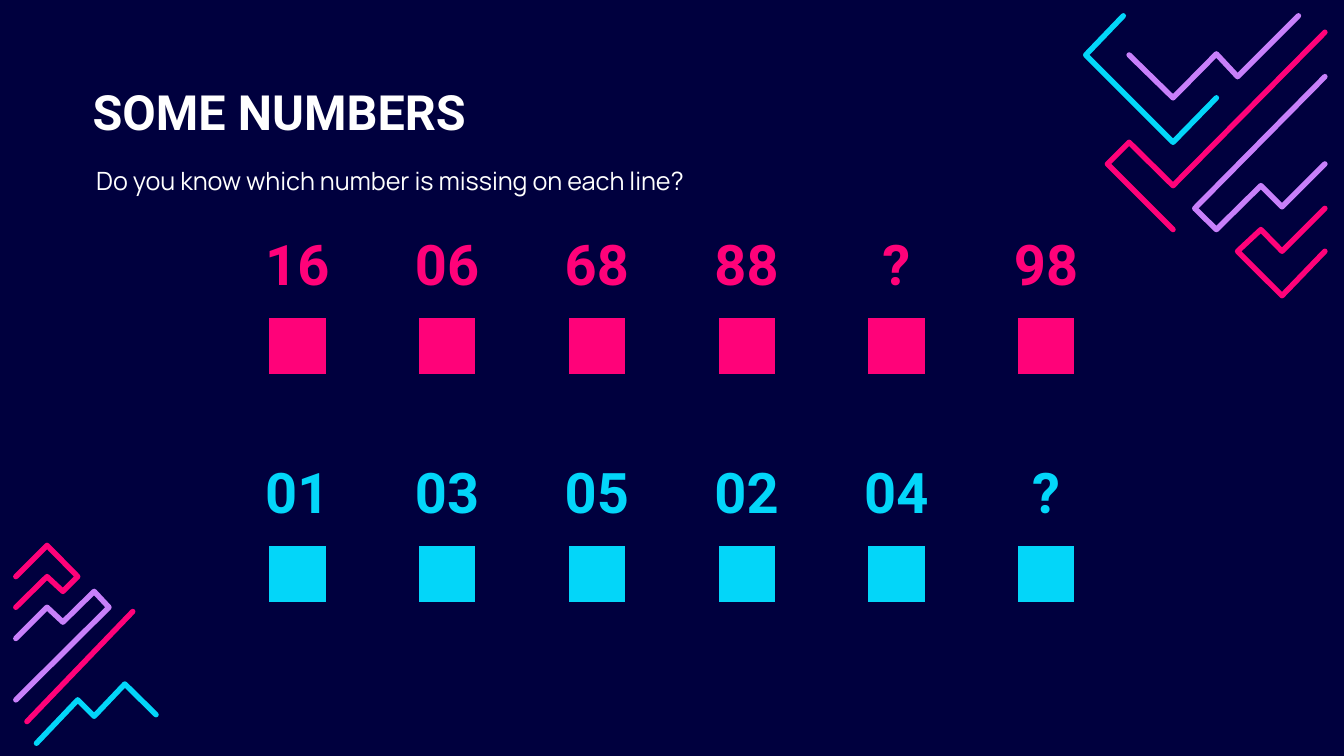
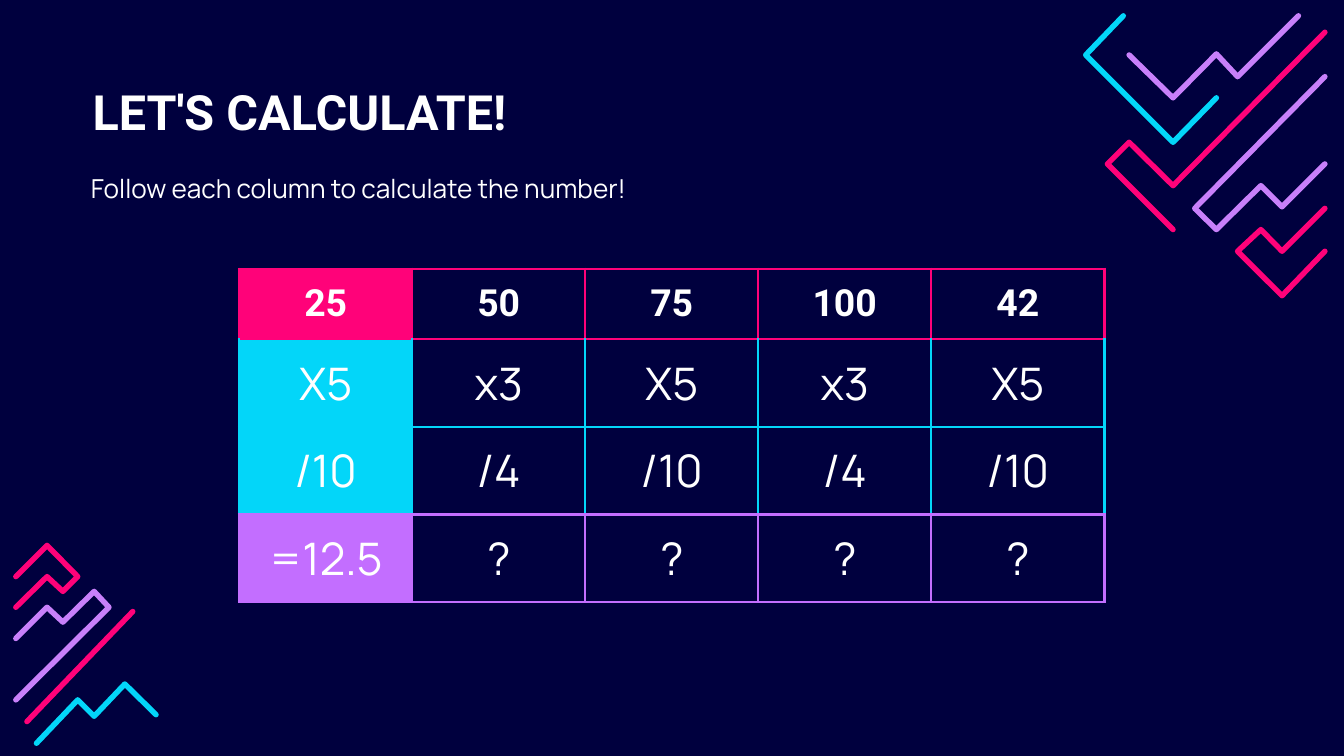
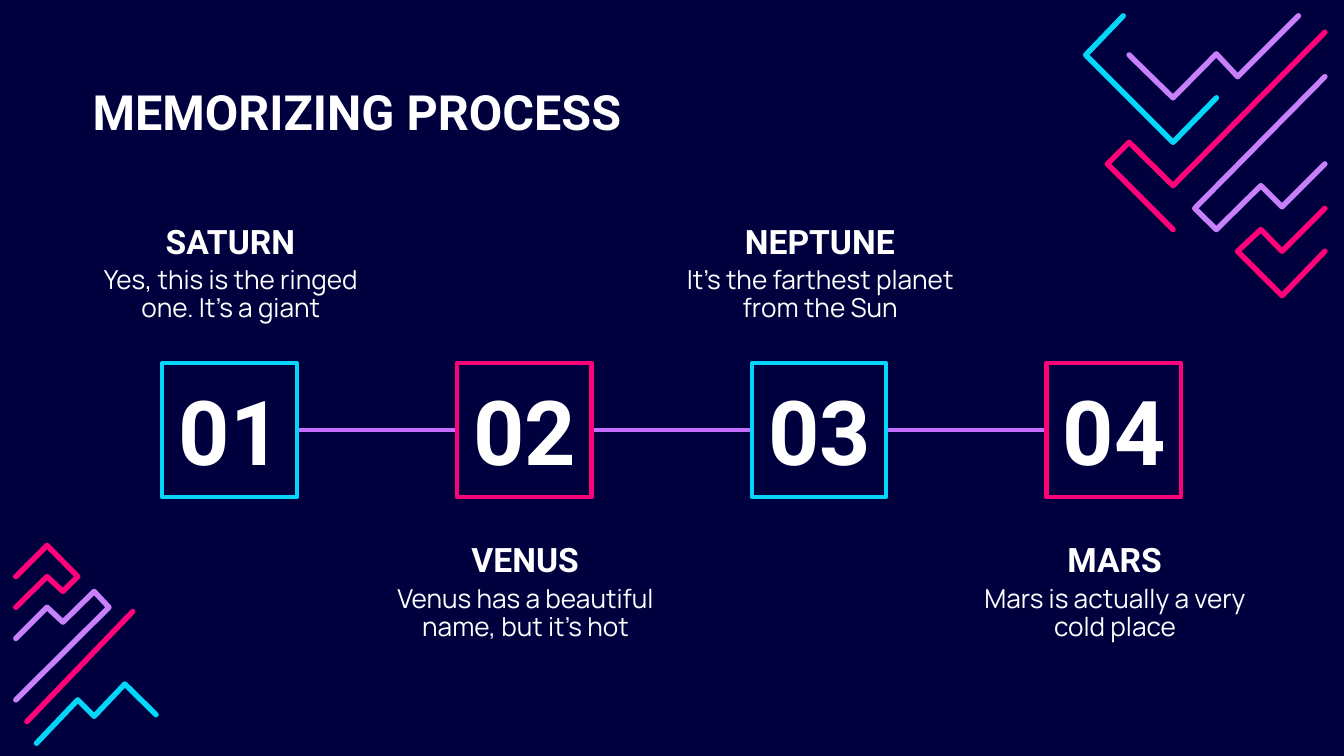
from typing import NamedTuple

from pptx import Presentation
from pptx.dml.color import RGBColor
from pptx.enum.shapes import MSO_CONNECTOR, MSO_SHAPE
from pptx.enum.text import MSO_ANCHOR as ANCHOR, MSO_AUTO_SIZE as AUTO, PP_ALIGN as ALIGN
from pptx.oxml import parse_xml
from pptx.oxml.ns import nsdecls
from pptx.oxml.xmlchemy import OxmlElement
from pptx.slide import Slide, SlideLayout
from pptx.table import _Cell as Cell
from pptx.text.text import TextFrame
from pptx.util import Cm, Pt

NAVY = RGBColor(0x00, 0x00, 0x3E)
PINK = RGBColor(0xFF, 0x02, 0x79)
CYAN = RGBColor(0x03, 0xD6, 0xF9)
LILAC = RGBColor(0xC8, 0x80, 0xFA)
PURPLE = RGBColor(0xC3, 0x6E, 0xFF)
WHITE = RGBColor(0xFF, 0xFF, 0xFF)

TITLE = dict(name="Roboto", size=Pt(26), bold=True)
DIGITS = dict(name="Roboto", size=Pt(30), bold=True)
TABLE_HEAD = dict(name="Roboto", size=Pt(20), bold=True)
TABLE_BODY = dict(name="Manrope", size=Pt(24), bold=False)
STEP_NUMBER = dict(name="Roboto", size=Pt(48), bold=True)
STEP_HEAD = dict(name="Roboto", size=Pt(18), bold=True)
BODY = dict(name="Manrope", size=Pt(14), bold=False)
INSET = Cm(0.25)


class Box(NamedTuple):
    """Left, top, width and height in centimetres."""
    left: float
    top: float
    width: float
    height: float

    def lengths(self) -> list[Cm]:
        return [Cm(v) for v in self]


class Zigzag(NamedTuple):
    color: RGBColor
    points: list[tuple[float, float]]


class NumberLine(NamedTuple):
    top: float
    color: RGBColor
    labels: list[str]


class TableRow(NamedTuple):
    values: list[str]
    color: RGBColor
    bottom: RGBColor
    font: dict


class Step(NamedTuple):
    head: str
    text: str
    color: RGBColor
    text_top: float


ZIGZAGS = [
    Zigzag(PINK, [(25.04, 4.75), (24.23, 5.59), (23.39, 4.75), (23.83, 4.34),
                  (24.23, 4.75), (25.04, 3.94)]),
    Zigzag(LILAC, [(25.04, 3.1), (24.23, 3.91), (23.83, 3.51), (22.99, 4.34),
                   (22.58, 3.94), (25.04, 1.45)]),
    Zigzag(PINK, [(22.17, 4.34), (20.93, 3.1), (21.34, 2.69), (22.17, 3.51),
                  (25.04, 0.61)]),
    Zigzag(CYAN, [(22.99, 1.85), (22.17, 2.69), (20.52, 1.04), (21.23, 0.3)]),
    Zigzag(LILAC, [(21.34, 1.04), (22.17, 1.85), (22.99, 1.02), (23.39, 1.45),
                   (24.54, 0.3)]),
    Zigzag(PINK, [(0.3, 10.9), (0.89, 10.31), (1.47, 10.9), (1.19, 11.18),
                  (0.89, 10.9), (0.3, 11.48)]),
    Zigzag(LILAC, [(0.3, 12.07), (0.89, 11.48), (1.19, 11.76), (1.78, 11.18),
                   (2.06, 11.48), (0.3, 13.23)]),
    Zigzag(CYAN, [(2.95, 13.51), (2.36, 12.93), (1.78, 13.54), (1.47, 13.23),
                  (0.69, 14.05)]),
    Zigzag(PINK, [(2.51, 11.56), (0.51, 13.64)]),
]
NUMBER_LINES = [
    NumberLine(3.94, PINK, ["16", "06", "68", "88", "?", "98"]),
    NumberLine(8.26, CYAN, ["01", "03", "05", "02", "04", "?"]),
]
NUMBER_STEP = 2.83
TABLE_ROWS = [
    TableRow(["25", "50", "75", "100", "42"], PINK, PINK, TABLE_HEAD),
    TableRow(["X5", "x3", "X5", "x3", "X5"], CYAN, CYAN, TABLE_BODY),
    TableRow(["/10", "/4", "/10", "/4", "/10"], CYAN, PURPLE, TABLE_BODY),
    TableRow(["=12.5", "?", "?", "?", "?"], PURPLE, PURPLE, TABLE_BODY),
]
ABOVE, BELOW = 4.06, 10.08
STEPS = [
    Step("SATURN", "Yes, this is the ringed one. It’s a giant", CYAN, ABOVE),
    Step("VENUS", "Venus has a beautiful name, but it’s hot", PINK, BELOW),
    Step("NEPTUNE", "It’s the farthest planet from the Sun", CYAN, ABOVE),
    Step("MARS", "Mars is actually a very cold place", PINK, BELOW),
]
STEP_GAP = 5.57


def write(tf: TextFrame, text: str, font: dict, color: RGBColor = WHITE,
          align: ALIGN = ALIGN.LEFT, spacing: float = 1.0) -> None:
    p = tf.paragraphs[0]
    p.alignment = align
    p.line_spacing = spacing
    r = p.add_run()
    r.text = text
    for key, value in font.items():
        setattr(r.font, key, value)
    r.font.color.rgb = color


def set_frame(tf: TextFrame, anchor: ANCHOR, auto_size: AUTO) -> None:
    frame = dict(margin_left=INSET, margin_right=INSET, margin_top=INSET,
                 margin_bottom=INSET, word_wrap=True,
                 vertical_anchor=anchor, auto_size=auto_size)
    for key, value in frame.items():
        setattr(tf, key, value)


def add_text(s: Slide, box: Box, text: str, font: dict, color: RGBColor = WHITE,
             align: ALIGN = ALIGN.CENTER, anchor: ANCHOR = ANCHOR.MIDDLE,
             spacing: float = 1.0, auto_size: AUTO = AUTO.NONE) -> None:
    tf = s.shapes.add_textbox(*box.lengths()).text_frame
    set_frame(tf, anchor, auto_size)
    write(tf, text, font, color, align, spacing)


def add_square(s: Slide, box: Box, fill: RGBColor, line: RGBColor, width: float) -> None:
    sp = s.shapes.add_shape(MSO_SHAPE.RECTANGLE, *box.lengths())
    sp.shadow.inherit = False
    sp.fill.solid()
    sp.fill.fore_color.rgb = fill
    sp.line.color.rgb = line
    sp.line.width = Pt(width)
    sp.line._get_or_add_ln().append(OxmlElement("a:round"))


def add_zigzag(s: Slide, zigzag: Zigzag):
    start, *rest = [(Cm(x), Cm(y)) for x, y in zigzag.points]
    builder = s.shapes.build_freeform(*start)
    builder.add_line_segments(rest, close=False)
    sp = builder.convert_to_shape()
    sp.shadow.inherit = False
    sp.fill.background()
    sp.line.color.rgb = zigzag.color
    sp.line.width = Pt(2.91)
    ln = sp.line._get_or_add_ln()
    ln.set("cap", "rnd")
    ln.append(OxmlElement("a:round"))
    return sp


def decorate_layout(layout: SlideLayout, s: Slide) -> None:
    """Draw the zigzags on a slide, then move them to its layout."""
    layout.background.fill.solid()
    layout.background.fill.fore_color.rgb = NAVY
    for ph in list(layout.placeholders)[1:]:
        layout.shapes.element.remove(ph.element)
    for sp in [add_zigzag(s, zigzag) for zigzag in ZIGZAGS]:
        layout.shapes.element.append(sp.element)


def add_slide(prs, title: str) -> Slide:
    s = prs.slides.add_slide(prs.slide_layouts[5])
    sp = s.shapes.title
    sp.left, sp.top, sp.width, sp.height = Box(1.5, 0.99, 19.18, 1.3).lengths()
    set_frame(sp.text_frame, ANCHOR.TOP, AUTO.NONE)
    write(sp.text_frame, title, TITLE, spacing=1.29)
    return s


def set_borders(cell: Cell, **colors: RGBColor) -> None:
    """Give the sides L, R, T and B, in that order, their line colours."""
    tc_pr = cell._tc.get_or_add_tcPr()
    for side, color in colors.items():
        tc_pr.append(parse_xml(
            f'<a:ln{side} {nsdecls("a")} w="{Pt(1.5)}"><a:solidFill>'
            f'<a:srgbClr val="{color}"/></a:solidFill></a:ln{side}>'))


def fill_numbers(s: Slide) -> None:
    for top, color, labels in NUMBER_LINES:
        for i, label in enumerate(labels):
            x = i * NUMBER_STEP
            add_square(s, Box(5.08 + x, top + 2.05, 1.09, 1.09), color, NAVY, 0.75)
            add_text(s, Box(4.45 + x, top, 2.34, 2.06), label, DIGITS, color)
    add_text(s, Box(1.57, 2.87, 19.63, 1.19),
             "Do you know which number is missing on each line?",
             BODY | dict(size=Pt(13.5)), align=ALIGN.LEFT, anchor=ANCHOR.TOP)


def fill_calculation(s: Slide) -> None:
    columns = len(TABLE_ROWS[0].values)
    box = Box(4.52, 5.08, 3.27 * columns, 1.07 * len(TABLE_ROWS))
    table = s.shapes.add_table(len(TABLE_ROWS), columns, *box.lengths()).table
    table.first_row = table.horz_banding = False
    top = TABLE_ROWS[0].color
    for i, row in enumerate(TABLE_ROWS):
        for j, value in enumerate(row.values):
            cell = table.cell(i, j)
            for side in ("left", "right", "top", "bottom"):
                setattr(cell, f"margin_{side}", INSET)
            set_borders(cell, L=row.color, R=row.color, T=top, B=row.bottom)
            cell.fill.solid()
            cell.fill.fore_color.rgb = NAVY if j else row.color
            write(cell.text_frame, value, row.font, align=ALIGN.CENTER)
        top = row.bottom
    add_text(s, Box(1.47, 2.84, 18.31, 1.12),
             "Follow each column to calculate the number!", BODY, align=ALIGN.LEFT,
             anchor=ANCHOR.TOP, spacing=1.29, auto_size=AUTO.SHAPE_TO_FIT_TEXT)


def fill_process(s: Slide) -> None:
    line = s.shapes.add_connector(MSO_CONNECTOR.STRAIGHT,
                                  Cm(3.12), Cm(8.13), Cm(22.35), Cm(8.13))
    line.line.color.rgb = PURPLE
    line.line.width = Pt(2.25)
    line.element.spPr.append(OxmlElement("a:effectLst"))
    for i, (head, text, color, top) in enumerate(STEPS):
        x = i * STEP_GAP
        add_square(s, Box(3.07 + x, 6.86, 2.54, 2.54), NAVY, color, 2.25)
        add_text(s, Box(2.46 + x, 7.19, 3.78, 1.85), f"{i + 1:02}", STEP_NUMBER)
        add_text(s, Box(1.14 + x, top, 6.43, 0.99), head, STEP_HEAD)
        add_text(s, Box(1.57 + x, top + 0.74, 5.59, 1.98), text, BODY,
                 anchor=ANCHOR.TOP, spacing=0.9)


def main() -> None:
    prs = Presentation()
    prs.slide_width, prs.slide_height = Cm(25.4), Cm(14.29)
    numbers = add_slide(prs, "SOME NUMBERS")
    decorate_layout(prs.slide_layouts[5], numbers)
    fill_numbers(numbers)
    fill_calculation(add_slide(prs, "LET'S CALCULATE!"))
    fill_process(add_slide(prs, "MEMORIZING PROCESS"))
    prs.save("out.pptx")


if __name__ == "__main__":
    main()
